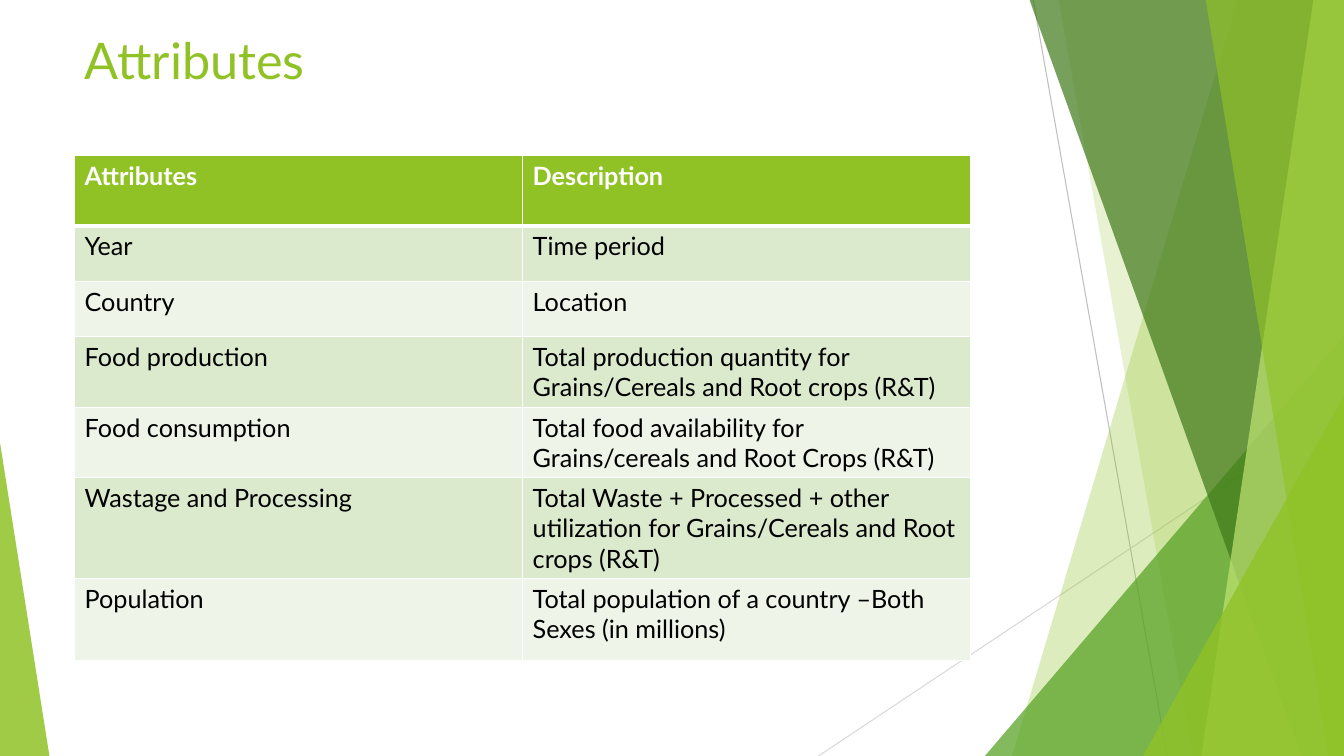
from typing import NamedTuple

from pptx import Presentation
from pptx import util as u
from pptx.dml.color import RGBColor
from pptx.enum import shapes, text
from pptx.oxml import ns, xmlchemy
from pptx.oxml.xmlchemy import OxmlElement

SLIDE_WIDTH = u.Inches(13.33)
SLIDE_HEIGHT = u.Inches(7.5)
FONT = "Lato"
GREEN, WHITE, BLACK = "90C226", "FFFFFF", "000000"
BAND_COLORS = ("DBE9CD", "EEF4E8")
BAND_TOP = -0.13
LEFT_MARGIN = 5.55


# All lengths are percentages of the slide's width or height.
class Ray(NamedTuple):
    start: tuple[float, float]
    end: tuple[float, float]
    color: str


class Band(NamedTuple):
    """A full-height shape between a slanted left edge and the slide's right edge."""
    top_left: float
    bottom_left: float
    color: str
    opacity: int


class Wedge(NamedTuple):
    """A right triangle on the slide's bottom edge; apex is 0 (left) or 1 (right)."""
    left: float
    top: float
    width: float
    apex: int
    color: str
    opacity: int


class Attribute(NamedTuple):
    name: str
    description: str
    height: float


RAYS = (
    Ray((76.88, 0), (86.85, 100), "BFBFBF"),
    Ray((100, 53.73), (60.9, 100), "D9D9D9"),
)
DECORATION = (
    Band(92.1, 75.3, GREEN, 30),
    Band(78.75, 88.73, GREEN, 20),
    Wedge(73.28, 44.4, 26.72, 1, "54A021", 72),
    Band(76.58, 96.83, "3F7819", 70),
    Band(97.73, 89.4, "C0E474", 70),
    Band(89.7, 98.85, GREEN, 65),
    Wedge(85.05, 52.4, 14.95, 1, GREEN, 80),
    Wedge(0, 58.53, 3.68, 0, GREEN, 85),
)
ATTRIBUTES = (
    Attribute("Attributes", "Description", 9.33),
    Attribute("Year", "Time period", 7.33),
    Attribute("Country", "Location", 7.33),
    Attribute("Food production",
              "Total production quantity for Grains/Cereals and Root crops (R&T)", 9.33),
    Attribute("Food consumption",
              "Total food availability for Grains/cereals and Root Crops (R&T)", 9.33),
    Attribute("Wastage and Processing",
              "Total Waste + Processed + other utilization for Grains/Cereals and Root crops (R&T)",
              13.33),
    Attribute("Population", "Total population of a country –Both Sexes (in millions)", 10.8),
)


def across(percent: float) -> int:
    return round(SLIDE_WIDTH * percent / 100)


def down(percent: float) -> int:
    return round(SLIDE_HEIGHT * percent / 100)


def rgb(color: str) -> RGBColor:
    return RGBColor.from_string(color)


def format_paragraph(paragraph, size: float, color: str, bold: bool = False) -> None:
    font = paragraph.font
    font.name, font.size, font.bold = FONT, u.Pt(size), bold
    font.color.rgb = rgb(color)


def draw_ray(slide, ray: Ray) -> None:
    (x1, y1), (x2, y2) = ray.start, ray.end
    connector = slide.shapes.add_connector(
        shapes.MSO_CONNECTOR.STRAIGHT, across(x1), down(y1), across(x2), down(y2))
    connector.line.color.rgb = rgb(ray.color)
    connector.line.width = u.Pt(0.75)
    connector.element.spPr.append(OxmlElement("a:effectLst"))


def build_band(slide, band: Band):
    builder = slide.shapes.build_freeform(across(band.top_left), down(BAND_TOP))
    corners = ((100, BAND_TOP), (100, 100), (band.bottom_left, 100))
    builder.add_line_segments([(across(x), down(y)) for x, y in corners], close=True)
    return builder.convert_to_shape()


def build_wedge(slide, wedge: Wedge):
    shape = slide.shapes.add_shape(
        shapes.MSO_SHAPE.ISOSCELES_TRIANGLE, across(wedge.left), down(wedge.top),
        across(wedge.width), down(100 - wedge.top))
    shape.adjustments[0] = wedge.apex
    return shape


def draw_decoration(slide, item: Band | Wedge) -> None:
    shape = build_band(slide, item) if isinstance(item, Band) else build_wedge(slide, item)
    shape.shadow.inherit = False
    shape.line.fill.background()
    shape.fill.solid()
    shape.fill.fore_color.rgb = rgb(item.color)
    alpha = OxmlElement("a:alpha")
    alpha.set("val", str(item.opacity * 1000))
    shape.element.spPr.find(f"{ns.qn('a:solidFill')}/{ns.qn('a:srgbClr')}").append(alpha)


def set_borders(cell, bottom_width: float, top_width: float) -> None:
    properties = cell._tc.get_or_add_tcPr()
    widths = {"a:lnL": 1, "a:lnR": 1, "a:lnT": top_width, "a:lnB": bottom_width}
    for position, (tag, width) in enumerate(widths.items()):
        border = OxmlElement(tag)
        border.set("w", str(u.Pt(width)))
        fill, color = OxmlElement("a:solidFill"), OxmlElement("a:srgbClr")
        color.set("val", WHITE)
        fill.append(color)
        border.append(fill)
        properties.insert(position, border)


def draw_title(slide, title: str) -> None:
    placeholder = slide.shapes.title
    placeholder.left, placeholder.top = across(LEFT_MARGIN), down(3.2)
    placeholder.width, placeholder.height = across(70.5), down(19.2)
    frame = placeholder.text_frame
    frame.text = title
    frame.vertical_anchor = text.MSO_ANCHOR.TOP
    frame.paragraphs[0].alignment = text.PP_ALIGN.LEFT
    format_paragraph(frame.paragraphs[0], 36, GREEN)


def draw_table(slide, attributes: tuple[Attribute, ...]) -> None:
    height = sum(attribute.height for attribute in attributes)
    table = slide.shapes.add_table(
        len(attributes), 2, across(LEFT_MARGIN), down(20.53), across(66.68), down(height)).table
    for index, attribute in enumerate(attributes):
        table.rows[index].height = down(attribute.height)
        header = index == 0
        for column, wording in enumerate((attribute.name, attribute.description)):
            cell = table.cell(index, column)
            cell.text = wording
            format_paragraph(cell.text_frame.paragraphs[0], 18, WHITE if header else BLACK, header)
            cell.fill.solid()
            cell.fill.fore_color.rgb = rgb(GREEN if header else BAND_COLORS[(index - 1) % 2])
            set_borders(cell, 3 if header else 1, 3 if index == 1 else 1)


def main() -> None:
    presentation = Presentation()
    presentation.slide_width, presentation.slide_height = SLIDE_WIDTH, SLIDE_HEIGHT
    title_only = presentation.slide_layouts.get_by_name("Title Only")
    slide = presentation.slides.add_slide(title_only)
    for ray in RAYS:
        draw_ray(slide, ray)
    for item in DECORATION:
        draw_decoration(slide, item)
    draw_title(slide, "Attributes")
    draw_table(slide, ATTRIBUTES)
    presentation.save("out.pptx")


if __name__ == "__main__":
    main()
